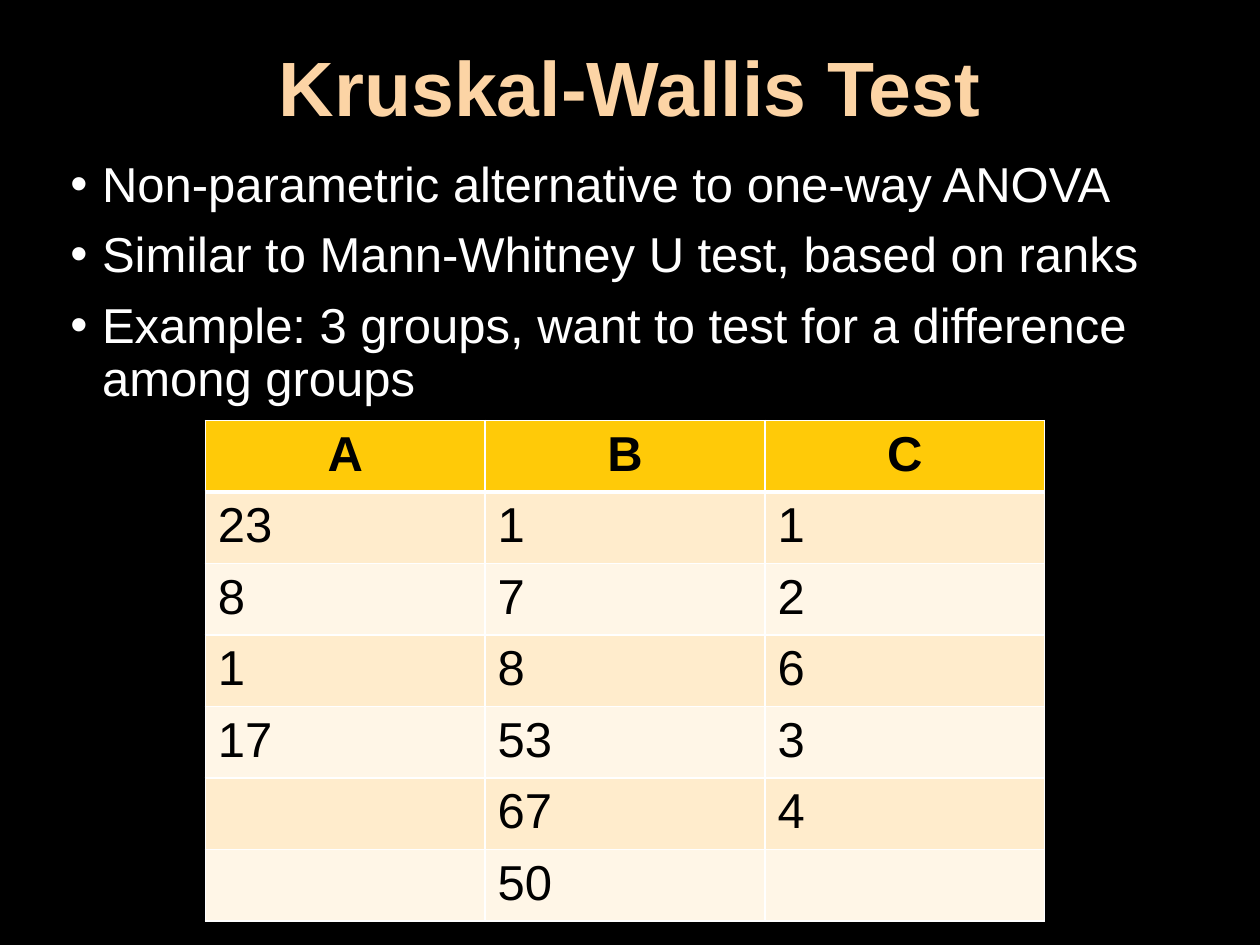
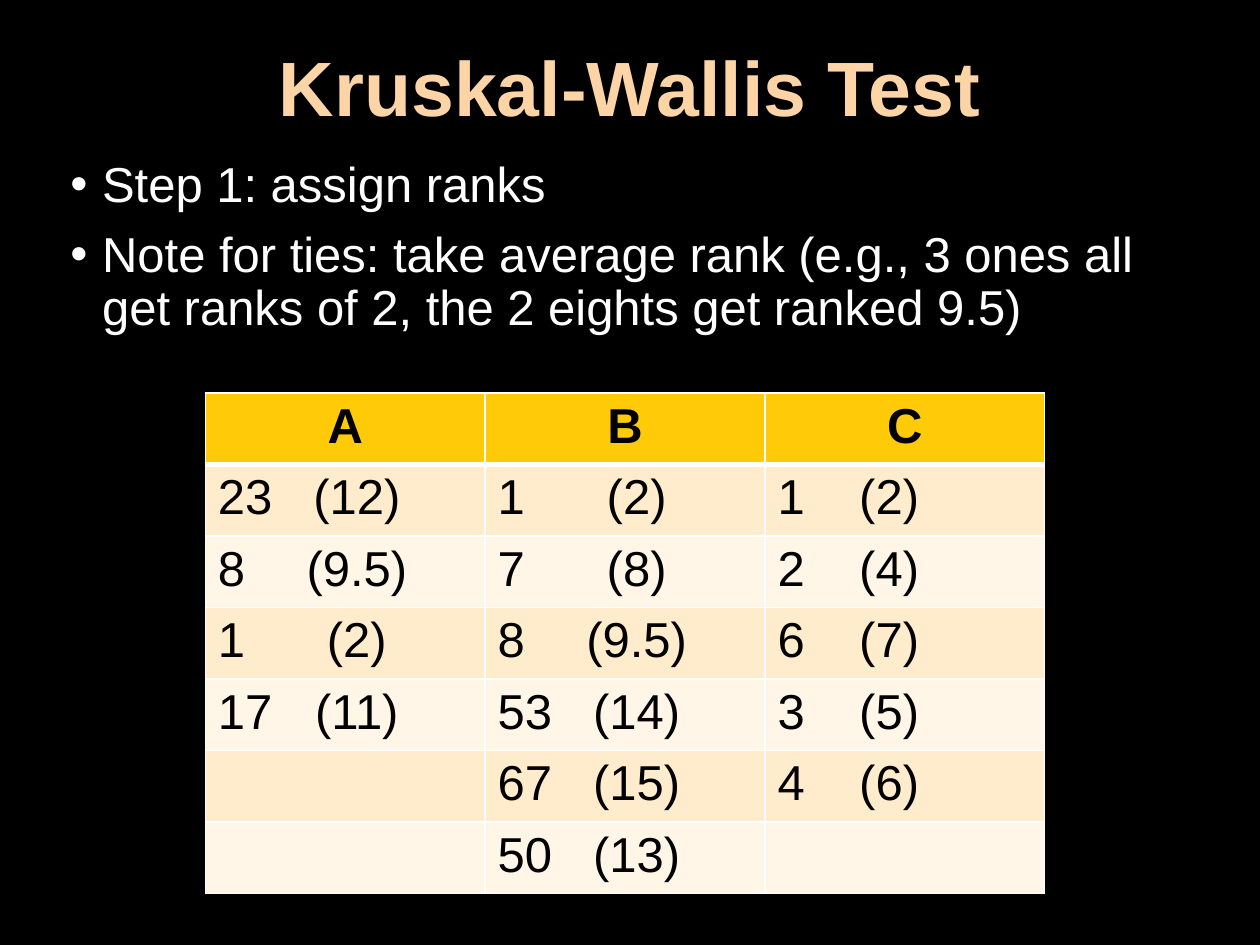
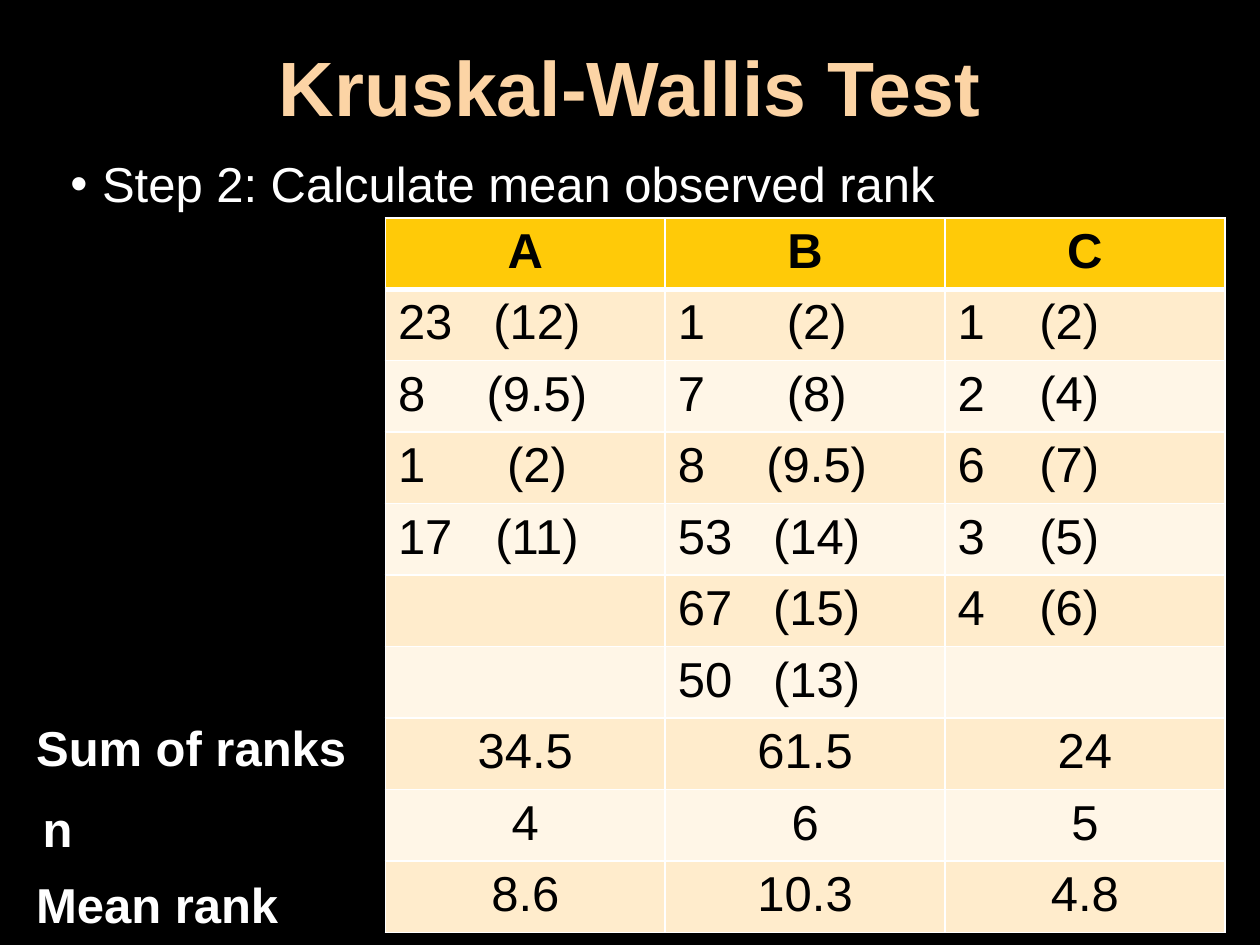
from dataclasses import dataclass

from lxml import etree
from pptx import Presentation
from pptx.dml.color import RGBColor
from pptx.enum.text import MSO_ANCHOR, PP_ALIGN
from pptx.oxml.ns import qn
from pptx.util import Cm, Pt

CENTER, LEFT = PP_ALIGN.CENTER, PP_ALIGN.LEFT
MIDDLE, TOP = MSO_ANCHOR.MIDDLE, MSO_ANCHOR.TOP


@dataclass(frozen=True)
class Theme:
    font: str = "Arial"
    background: str = "000000"
    title: str = "FCD4A5"
    text: str = "FFFFFF"
    cell_text: str = "000000"
    header: str = "FFCA08"
    bands: tuple = ("FFECCC", "FFF6E7")
    border: str = "FFFFFF"
    title_size: int = 44
    text_size: int = 28
    thin: int = 1
    thick: int = 3


THEME = Theme()

# Content
TITLE = "Kruskal-Wallis Test"
GROUPS = {
    "A": [("23", "12"), ("8", "9.5"), ("1", "2"), ("17", "11")],
    "B": [("1", "2"), ("7", "8"), ("8", "9.5"), ("53", "14"), ("67", "15"), ("50", "13")],
    "C": [("1", "2"), ("2", "4"), ("6", "7"), ("3", "5"), ("4", "6")],
}
SUMMARY = [
    ("34.5", "61.5", "24"),
    ("4", "6", "5"),
    ("8.6", "10.3", "4.8"),
]
# Text, left and top in cm
SUMMARY_LABELS = [
    ("Sum of ranks", 0.48, 14.33),
    ("n", 0.61, 15.98),
    ("Mean rank", 0.48, 17.5),
]
SLIDES = [
    {
        "bullets": [
            "Non-parametric alternative to one-way ANOVA",
            "Similar to Mann-Whitney U test, based on ranks",
            "Example: 3 groups, want to test for a difference among groups",
        ],
        "table_at": (4.14, 8.48),
        "ranked": False,
        "summary": [],
        "labels": [],
    },
    {
        "bullets": [
            "Step 1: assign ranks",
            "Note for ties: take average rank (e.g., 3 ones all get ranks of 2, "
            "the 2 eights get ranked 9.5)",
        ],
        "table_at": (4.14, 7.92),
        "ranked": True,
        "summary": [],
        "labels": [],
    },
    {
        "bullets": ["Step 2: Calculate mean observed rank"],
        "table_at": (7.77, 4.39),
        "ranked": True,
        "summary": SUMMARY,
        "labels": SUMMARY_LABELS,
    },
]

# Layout, in cm
SLIDE_SIZE = (25.4, 19.05)
TITLE_BOX = (0, 0, 25.4, 3.68)
BODY_BOX = (1.17, 3.1, 22.86, 14.55)
LABEL_SIZE = (6.81, 1.45)
COLUMN_WIDTH = 5.64
ROW_HEIGHT = 1.36
BULLET_INDENT = 0.64
RANK_CENTERS = (2.8, 2.8, 2.25)


def style_paragraph(para, color, size=THEME.text_size, bold=False, align=LEFT):
    para.alignment = align
    for span in para.runs:
        span.font.name = THEME.font
        span.font.size = Pt(size)
        span.font.bold = bold
        span.font.color.rgb = RGBColor.from_string(color)


def add_text(page, place, text, anchor=TOP):
    box = page.shapes.add_textbox(*map(Cm, place))
    frame = box.text_frame
    frame.word_wrap = True
    frame.vertical_anchor = anchor
    frame.text = text
    return frame.paragraphs


def add_title(page):
    para = add_text(page, TITLE_BOX, TITLE, MIDDLE)[0]
    para.line_spacing = 0.9
    style_paragraph(para, THEME.title, THEME.title_size, True, CENTER)


def add_bullets(page, bullets):
    for para in add_text(page, BODY_BOX, "\n".join(bullets)):
        para.line_spacing = 0.9
        para.space_before = Pt(10)
        style_paragraph(para, THEME.text)
        properties = para._p.get_or_add_pPr()
        properties.set("marL", str(Cm(BULLET_INDENT)))
        properties.set("indent", str(-Cm(BULLET_INDENT)))
        font = etree.SubElement(properties, qn("a:buFont"))
        font.set("typeface", THEME.font)
        etree.SubElement(properties, qn("a:buChar")).set("char", "•")


def add_center_tab(para, position):
    tabs = etree.SubElement(para._p.get_or_add_pPr(), qn("a:tabLst"))
    etree.SubElement(tabs, qn("a:tab"), pos=str(Cm(position)), algn="ctr")


def set_borders(cell, row):
    """Draw thin borders, with a thick rule between the header and the data."""
    top = THEME.thick if row == 1 else THEME.thin
    bottom = THEME.thick if row == 0 else THEME.thin
    widths = {"lnL": THEME.thin, "lnR": THEME.thin, "lnT": top, "lnB": bottom}
    properties = cell._tc.get_or_add_tcPr()
    for index, (side, width) in enumerate(widths.items()):
        line = etree.Element(qn(f"a:{side}"), w=str(Pt(width)))
        fill = etree.SubElement(line, qn("a:solidFill"))
        etree.SubElement(fill, qn("a:srgbClr"), val=THEME.border)
        properties.insert(index, line)


def table_rows(ranked, summary):
    depth = max(map(len, GROUPS.values()))
    columns = []
    for group in GROUPS.values():
        texts = [f"{value}\t({rank})" if ranked else value for value, rank in group]
        columns.append(texts + [""] * (depth - len(texts)))
    return [tuple(GROUPS), *zip(*columns), *summary]


def add_group_table(page, place, ranked, summary):
    rows = table_rows(ranked, summary)
    size = (COLUMN_WIDTH * len(GROUPS), ROW_HEIGHT * len(rows))
    table = page.shapes.add_table(len(rows), len(GROUPS), *map(Cm, place + size)).table
    first_summary = len(rows) - len(summary)
    for column in table.columns:
        column.width = Cm(COLUMN_WIDTH)
    for row, texts in enumerate(rows):
        table.rows[row].height = Cm(ROW_HEIGHT)
        header = row == 0
        align = CENTER if header or row >= first_summary else LEFT
        color = THEME.header if header else THEME.bands[(row - 1) % 2]
        for column, text in enumerate(texts):
            cell = table.cell(row, column)
            cell.fill.solid()
            cell.fill.fore_color.rgb = RGBColor.from_string(color)
            set_borders(cell, row)
            cell.text_frame.text = text
            para = cell.text_frame.paragraphs[0]
            style_paragraph(para, THEME.cell_text, bold=header, align=align)
            if "\t" in text:
                add_center_tab(para, RANK_CENTERS[column])


def main():
    deck = Presentation()
    deck.slide_width, deck.slide_height = map(Cm, SLIDE_SIZE)
    background = deck.slide_master.background.fill
    background.solid()
    background.fore_color.rgb = RGBColor.from_string(THEME.background)
    for content in SLIDES:
        page = deck.slides.add_slide(deck.slide_layouts[6])
        add_title(page)
        add_bullets(page, content["bullets"])
        add_group_table(page, content["table_at"], content["ranked"], content["summary"])
        for text, left, top in content["labels"]:
            para = add_text(page, (left, top, *LABEL_SIZE), text)[0]
            style_paragraph(para, THEME.text, bold=True)
    deck.save("out.pptx")


if __name__ == "__main__":
    main()
